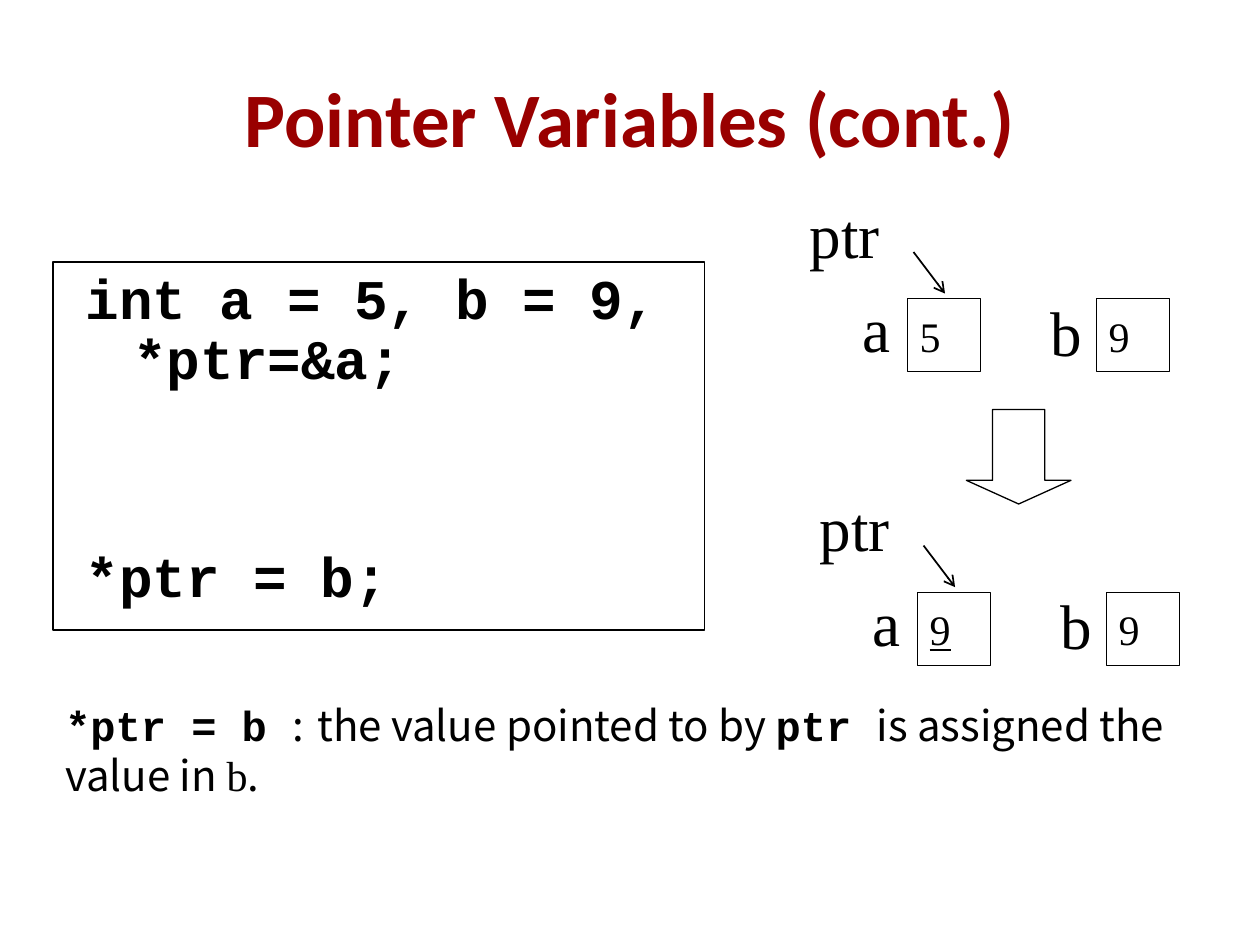
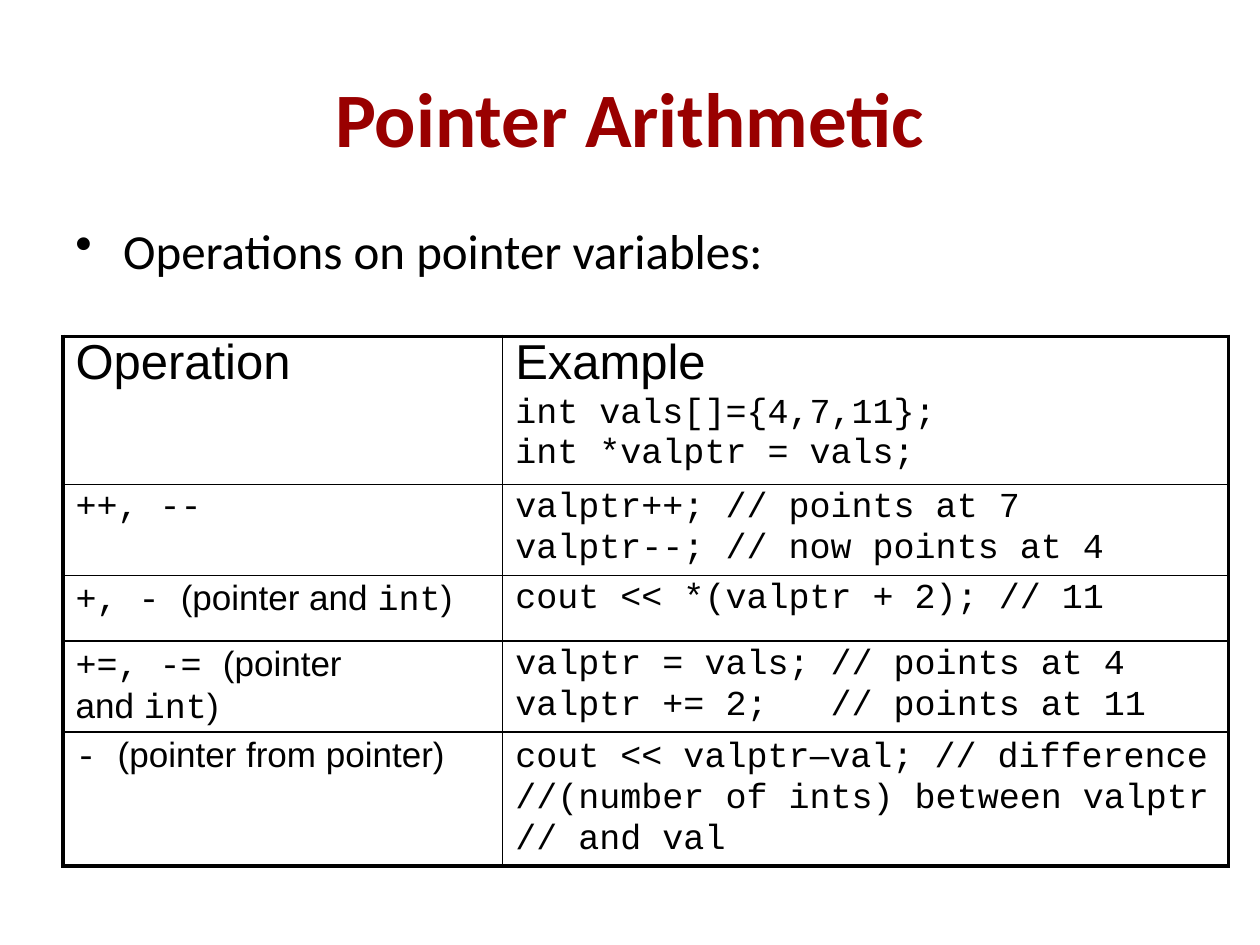
from dataclasses import dataclass
from typing import NamedTuple

from lxml import etree
from pptx import Presentation
from pptx.dml.color import RGBColor
from pptx.enum.shapes import MSO_CONNECTOR, MSO_SHAPE
from pptx.enum.text import MSO_ANCHOR, PP_ALIGN
from pptx.oxml.ns import qn
from pptx.shapes.autoshape import Shape
from pptx.slide import Slide
from pptx.table import _Cell
from pptx.text.text import TextFrame, _Paragraph
from pptx.util import Pt

PX = 9144  # EMU in one px, 100 px to the inch
HANG = 38
BLACK = RGBColor(0x00, 0x00, 0x00)
DARK_RED = RGBColor(0x99, 0x00, 0x00)

ARIAL = "Arial"
CALIBRI = "Calibri"
COURIER = "Courier New"
NOTO = "Noto Sans CJK KR"
TIMES = "Times New Roman"

LEFT = PP_ALIGN.LEFT
CENTER = PP_ALIGN.CENTER
MIDDLE = MSO_ANCHOR.MIDDLE
RECTANGLE = MSO_SHAPE.RECTANGLE
DOWN_ARROW = MSO_SHAPE.DOWN_ARROW
STRAIGHT = MSO_CONNECTOR.STRAIGHT

THICK, THIN = 2.25, 1


class Box(NamedTuple):
    left: int
    top: int
    width: int
    height: int

    def moved(self, dx: int, dy: int) -> "Box":
        return self._replace(left=self.left + dx, top=self.top + dy)

    def emu(self) -> list[int]:
        return [length * PX for length in self]


@dataclass(frozen=True)
class Span:
    text: str
    font: str
    size: int
    bold: bool = False
    underline: bool = False
    color: RGBColor = BLACK


@dataclass(frozen=True)
class MemoryState:
    """Variables a and b with ptr pointing at a, shifted by dx, dy."""
    dx: int
    dy: int
    a_value: str
    a_changed: bool


LABELS = [
    ("a", Box(675, 225, 45, 70)),
    ("b", Box(824, 228, 48, 70)),
    ("ptr", Box(633, 150, 87, 70)),
]
A_CELL = Box(720, 237, 58, 58)
B_CELL = A_CELL.moved(150, 0)
PTR_ARROW = (725, 200, 750, 233)
STATES = [MemoryState(0, 0, "5", False), MemoryState(8, 233, "9", True)]


def code(text: str) -> Span:
    return Span(text, COURIER, 20)


def words(text: str) -> Span:
    return Span(text, ARIAL, 20)


COLUMN_WIDTHS = [349, 576]
ROW_HEIGHTS = [109, 66, 52, 66, 98]
# rows > cells > lines > spans
OPERATIONS = [
    [[[Span("Operation", ARIAL, 28)]],
     [[Span("Example", ARIAL, 28)],
      [code("int vals[]={4,7,11};")],
      [code("int *valptr = vals;")]]],
    [[[code("++, --")]],
     [[code("valptr++; // points at 7")],
      [code("valptr--; // now points at 4")]]],
    [[[code("+, - "), words("(pointer and "), code("int"), words(")")]],
     [[code("cout << *(valptr + 2); // 11")]]],
    [[[code("+=, -= "), words("(pointer")],
      [words("and "), code("int"), words(")")]],
     [[code("valptr = vals; // points at 4")],
      [code("valptr += 2;   // points at 11")]]],
    [[[code("- "), words("(pointer from pointer)")]],
     [[code("cout << valptr"), words("–"), code("val; // difference")],
      [code("//(number of ints) between valptr")],
      [code("// and val")]]],
]


def add_spans(paragraph: _Paragraph, spans: list[Span]) -> None:
    for span in spans:
        run = paragraph.add_run()
        run.text = span.text
        run.font.name = span.font
        run.font.size = Pt(span.size)
        run.font.bold = span.bold
        run.font.underline = span.underline
        run.font.color.rgb = span.color


def add_lines(frame: TextFrame, lines: list[list[Span]], spacing: float) -> None:
    """Write one paragraph a line, each led by a fifth of its text size."""
    for index, spans in enumerate(lines):
        paragraph = frame.add_paragraph() if index else frame.paragraphs[0]
        paragraph.line_spacing = spacing
        paragraph.space_before = Pt(spans[0].size * 0.2)
        add_spans(paragraph, spans)


def hang(paragraph: _Paragraph, bullet: str = "") -> None:
    """Give a hanging indent, with a bullet if one is named."""
    properties = paragraph._p.get_or_add_pPr()
    properties.set("marL", str(HANG * PX))
    properties.set("indent", str(-HANG * PX))
    if bullet:
        etree.SubElement(properties, qn("a:buChar"), char=bullet)


def add_text_box(slide: Slide, box: Box, wrap: bool = True) -> TextFrame:
    frame = slide.shapes.add_textbox(*box.emu()).text_frame
    frame.word_wrap = wrap
    return frame


def add_title(slide: Slide, title: str) -> None:
    frame = add_text_box(slide, Box(50, 30, 900, 125))
    frame.vertical_anchor = MIDDLE
    heading = frame.paragraphs[0]
    heading.alignment = CENTER
    add_spans(heading, [Span(title, CALIBRI, 44, bold=True, color=DARK_RED)])


def add_outline(slide: Slide, preset: MSO_SHAPE, box: Box) -> Shape:
    """Draw an unfilled preset with a thin black line."""
    outline = slide.shapes.add_shape(preset, *box.emu())
    outline.shadow.inherit = False
    outline.fill.background()
    outline.line.color.rgb = BLACK
    outline.line.width = Pt(0.75)
    return outline


def add_memory_cell(slide: Slide, box: Box, value: str, changed: bool) -> None:
    frame = add_outline(slide, RECTANGLE, box).text_frame
    frame.vertical_anchor = MIDDLE
    content = frame.paragraphs[0]
    content.alignment = LEFT
    add_spans(content, [Span(value, TIMES, 24, underline=changed)])


def add_pointer_arrow(slide: Slide, dx: int, dy: int) -> None:
    x1, y1, x2, y2 = PTR_ARROW
    ends = (x1 + dx, y1 + dy, x2 + dx, y2 + dy)
    arrow = slide.shapes.add_connector(STRAIGHT, *(end * PX for end in ends))
    arrow.line.color.rgb = BLACK
    arrow.line.width = Pt(1)
    etree.SubElement(arrow.line._get_or_add_ln(), qn("a:tailEnd"), type="arrow")
    etree.SubElement(arrow._element.spPr, qn("a:effectLst"))


def add_memory_state(slide: Slide, state: MemoryState) -> None:
    shift = (state.dx, state.dy)
    add_memory_cell(slide, A_CELL.moved(*shift), state.a_value, state.a_changed)
    add_memory_cell(slide, B_CELL.moved(*shift), "9", False)
    for label, box in LABELS:
        frame = add_text_box(slide, box.moved(*shift), wrap=False)
        add_spans(frame.paragraphs[0], [Span(label, TIMES, 36)])
    add_pointer_arrow(slide, *shift)


def set_borders(cell: _Cell, widths: dict[str, float]) -> None:
    properties = cell._tc.get_or_add_tcPr()
    for side, width in widths.items():
        border = etree.SubElement(properties, qn(f"a:ln{side}"), w=str(Pt(width)))
        fill = etree.SubElement(border, qn("a:solidFill"))
        etree.SubElement(fill, qn("a:srgbClr"), val=str(BLACK))


def build_variables_slide(slide: Slide) -> None:
    add_title(slide, "Pointer Variables (cont.)")

    statements = add_text_box(slide, Box(58, 210, 525, 281))
    add_lines(statements, [
        [Span("int a = 5, b = 9, *ptr=&a;", COURIER, 32, bold=True)],
        [Span("*ptr = b;", COURIER, 32, bold=True)],
    ], 0.9)
    for statement in statements.paragraphs:
        hang(statement)
    statements.paragraphs[1].space_before = Pt(90)

    for state in STATES:
        add_memory_state(slide, state)
    step = add_outline(slide, DOWN_ARROW, Box(767, 325, 83, 75))
    step.adjustments[0] = 0.5
    step.adjustments[1] = 0.25
    add_outline(slide, RECTANGLE, Box(42, 208, 517, 292))

    explanation = add_text_box(slide, Box(42, 550, 933, 91)).paragraphs[0]
    tabs = etree.SubElement(explanation._p.get_or_add_pPr(), qn("a:tabLst"))
    etree.SubElement(tabs, qn("a:tab"), pos=str(200 * PX), algn="l")
    add_spans(explanation, [
        Span("*ptr = b ", COURIER, 24, bold=True),
        Span(":\tthe value pointed to by ", NOTO, 24),
        Span("ptr ", COURIER, 24, bold=True),
        Span("is assigned the value in ", NOTO, 24),
        Span("b", TIMES, 24),
        Span(".", NOTO, 24),
    ])


def build_arithmetic_slide(slide: Slide) -> None:
    add_title(slide, "Pointer Arithmetic")
    lead = add_text_box(slide, Box(50, 175, 817, 49))
    add_lines(lead, [[Span("Operations on pointer variables:", CALIBRI, 28)]], 0.9)
    hang(lead.paragraphs[0], "•")

    area = Box(50, 267, sum(COLUMN_WIDTHS), sum(ROW_HEIGHTS))
    last_row, last_column = len(ROW_HEIGHTS) - 1, len(COLUMN_WIDTHS) - 1
    table = slide.shapes.add_table(
        len(ROW_HEIGHTS), len(COLUMN_WIDTHS), *area.emu()).table
    table.first_row = False
    table.horz_banding = False
    for column, width in zip(table.columns, COLUMN_WIDTHS):
        column.width = width * PX
    for r, (height, cells) in enumerate(zip(ROW_HEIGHTS, OPERATIONS)):
        table.rows[r].height = height * PX
        for c, lines in enumerate(cells):
            cell = table.cell(r, c)
            add_lines(cell.text_frame, lines, 0.85)
            set_borders(cell, {
                "L": THICK if c == 0 else THIN,
                "R": THICK if c == last_column else THIN,
                "T": THICK if r == 0 else THIN,
                "B": THICK if r == last_row else THIN,
            })
            cell.fill.background()


def main() -> None:
    deck = Presentation()
    deck.slide_width = 1000 * PX
    deck.slide_height = 750 * PX
    blank = deck.slide_layouts[6]
    for build in (build_variables_slide, build_arithmetic_slide):
        build(deck.slides.add_slide(blank))
    deck.save("out.pptx")


if __name__ == "__main__":
    main()
